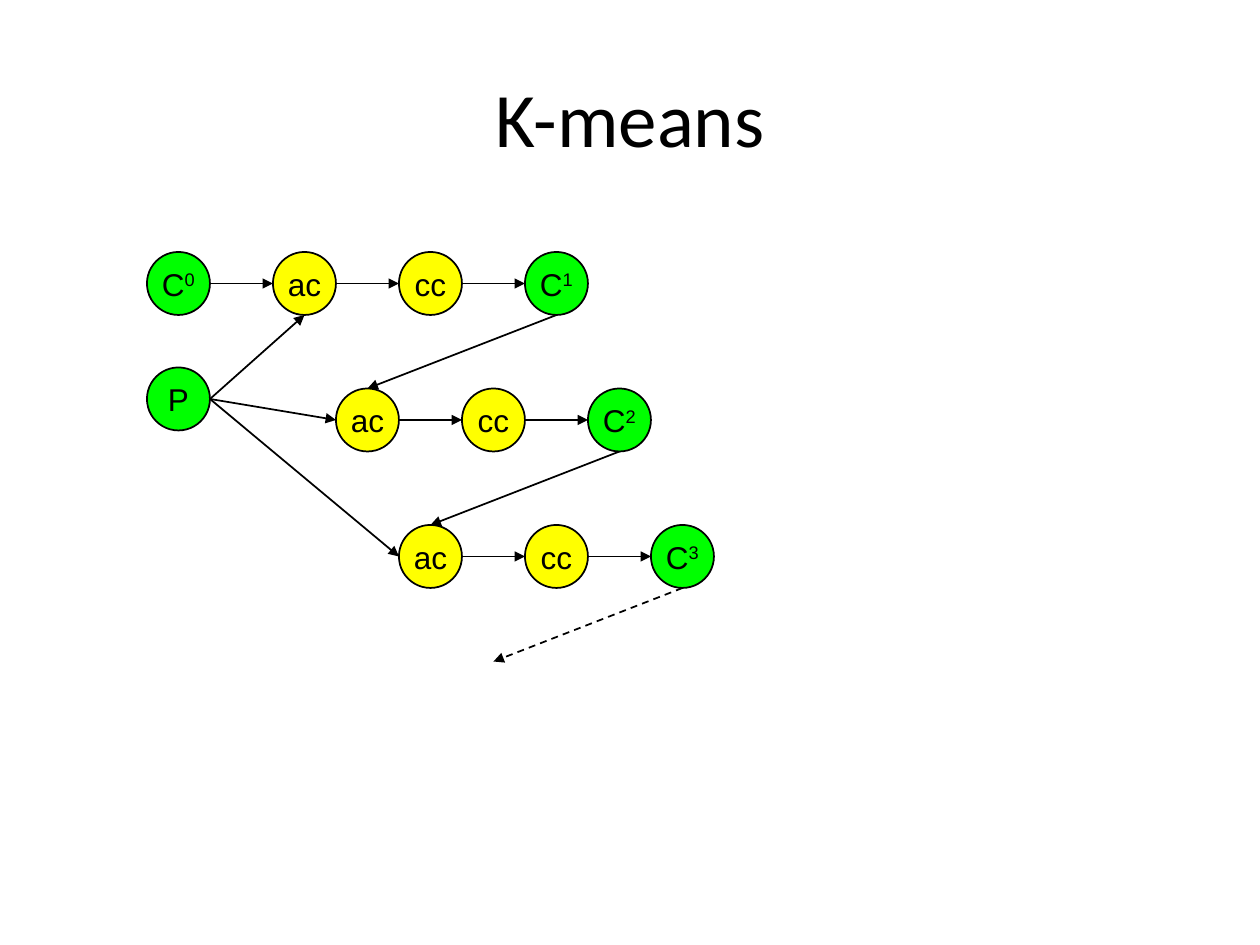
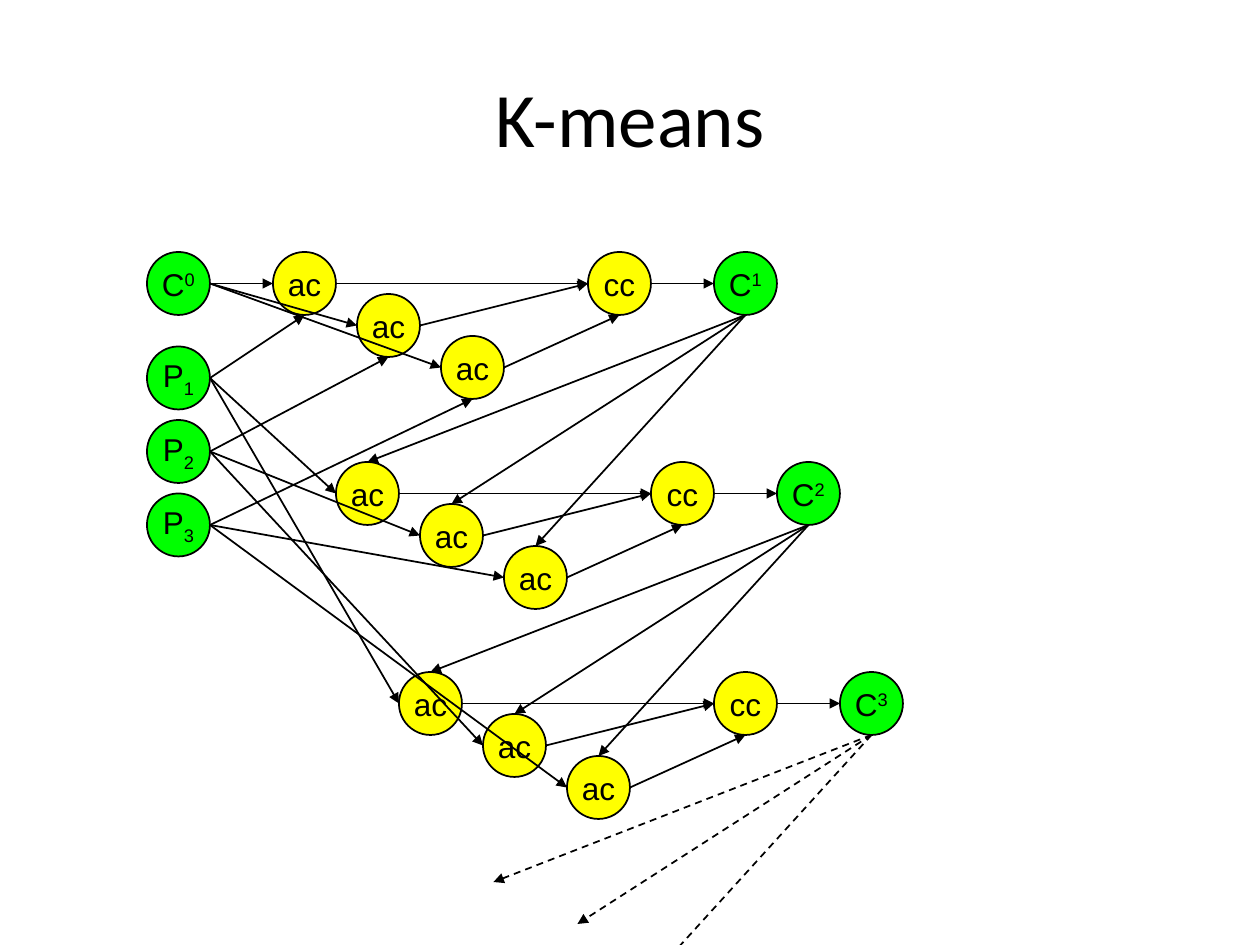
import pptx
import pptx.dml.color
import pptx.enum.dml
import pptx.enum.shapes
import pptx.enum.text
import pptx.oxml.ns
import pptx.util
from lxml import etree

Pt = pptx.util.Pt
RGBColor = pptx.dml.color.RGBColor
qn = pptx.oxml.ns.qn

BLACK = RGBColor(0, 0, 0)
DATA_GREEN = RGBColor(0, 255, 0)
TASK_YELLOW = RGBColor(255, 255, 0)
TITLE_FONT, NODE_FONT = "Calibri", "Arial"
SUPER, SUB = 30, -25

NODE = 36
STEP = 72  # distance between neighbouring nodes in a row
SLICE_SHIFT = (48, 24)  # from one ac node to the next in a round
ROUND_SHIFT = 36  # each round starts this much further right
ROUNDS = 3
DIAGRAM_AT = (84, 144)
PORTS = {"top": (0.5, 0), "left": (0, 0.5), "bottom": (0.5, 1), "right": (1, 0.5)}


def add_title(s, text):
    sp = s.shapes.title
    sp.left, sp.top, sp.width, sp.height = Pt(36), Pt(21.6), Pt(648), Pt(90)
    tf = sp.text_frame
    tf.text = text
    tf.vertical_anchor = pptx.enum.text.MSO_ANCHOR.MIDDLE
    p = tf.paragraphs[0]
    p.alignment = pptx.enum.text.PP_ALIGN.CENTER
    font = p.runs[0].font
    font.name, font.size, font.color.rgb = TITLE_FONT, Pt(44), BLACK


def add_node(s, at, fill, text, index="", baseline=SUPER):
    """Draw a labelled circle, its index raised or lowered by baseline percent."""
    sp = s.shapes.add_shape(pptx.enum.shapes.MSO_SHAPE.OVAL,
                            Pt(at[0]), Pt(at[1]), Pt(NODE), Pt(NODE))
    sp.shadow.inherit = False
    sp.fill.solid()
    sp.fill.fore_color.rgb = fill
    sp.line.color.rgb, sp.line.width = BLACK, Pt(1)
    tf = sp.text_frame
    tf.margin_left = tf.margin_right = tf.margin_top = tf.margin_bottom = 0
    tf.word_wrap = False
    tf.vertical_anchor = pptx.enum.text.MSO_ANCHOR.MIDDLE
    tf.text = text
    p = tf.paragraphs[0]
    p.alignment = pptx.enum.text.PP_ALIGN.CENTER
    if index:
        r = p.add_run()
        r.text = index
        r._r.get_or_add_rPr().set("baseline", str(baseline * 1000))
    for r in p.runs:
        r.font.name, r.font.size, r.font.color.rgb = NODE_FONT, Pt(18), BLACK


def port(at, side):
    dx, dy = PORTS[side]
    return Pt(at[0] + dx * NODE), Pt(at[1] + dy * NODE)


def add_arrow(s, start, start_side, end, end_side, dashed=False):
    """Join two nodes, given by their top left corners."""
    sp = s.shapes.add_connector(pptx.enum.shapes.MSO_CONNECTOR.STRAIGHT,
                                *port(start, start_side), *port(end, end_side))
    sp.line.color.rgb, sp.line.width = BLACK, Pt(1)
    if dashed:
        sp.line.dash_style = pptx.enum.dml.MSO_LINE.DASH
    etree.SubElement(sp.line._get_or_add_ln(), qn("a:tailEnd"), type="triangle")
    etree.SubElement(sp._element.spPr, qn("a:effectLst"))


def add_rounds(s, at, points, points_top, points_gap, round_gap, cc_offset):
    """Draw the rounds of assigning points (ac) and computing centres (cc)."""
    left, top = at

    def ac_at(i, k):
        return (left + STEP + i * ROUND_SHIFT + k * SLICE_SHIFT[0],
                top + i * round_gap + k * SLICE_SHIFT[1])

    def cc_at(i):
        x, y = ac_at(i, 0)
        return x + cc_offset, y

    def centre_at(i):
        """Centres produced by round i - 1 and used by round i."""
        if i == 0:
            return at
        x, y = cc_at(i - 1)
        return x + STEP, y

    def point_at(k):
        return left, top + points_top + k * points_gap

    slices = range(len(points))
    for k, index in enumerate(points):
        add_node(s, point_at(k), DATA_GREEN, "P", index, SUB)
    for i in range(ROUNDS + 1):
        add_node(s, centre_at(i), DATA_GREEN, "C", str(i))
    for i in range(ROUNDS):
        for k in slices:
            add_node(s, ac_at(i, k), TASK_YELLOW, "ac")
        add_node(s, cc_at(i), TASK_YELLOW, "cc")

    for i in range(ROUNDS):
        first = i == 0
        for k in slices:
            ac = ac_at(i, k)
            add_arrow(s, centre_at(i), "right" if first else "bottom",
                      ac, "left" if first else "top")
            add_arrow(s, point_at(k), "right", ac, "bottom" if first else "left")
            add_arrow(s, ac, "right", cc_at(i), "left" if k < 2 else "bottom")
        add_arrow(s, cc_at(i), "right", centre_at(i + 1), "left")
    for k in slices:
        add_arrow(s, centre_at(ROUNDS), "bottom", ac_at(ROUNDS, k), "top", dashed=True)


def add_kmeans_slide(prs, **layout):
    s = prs.slides.add_slide(prs.slide_layouts[5])
    add_title(s, "K-means")
    add_rounds(s, DIAGRAM_AT, **layout)


def main():
    prs = pptx.Presentation()
    prs.slide_width, prs.slide_height = Pt(720), Pt(540)
    add_kmeans_slide(prs, points=[""], points_top=66, points_gap=0,
                     round_gap=78, cc_offset=STEP)
    add_kmeans_slide(prs, points=["1", "2", "3"], points_top=54, points_gap=42,
                     round_gap=120, cc_offset=2.5 * STEP)
    prs.save("out.pptx")


if __name__ == "__main__":
    main()
